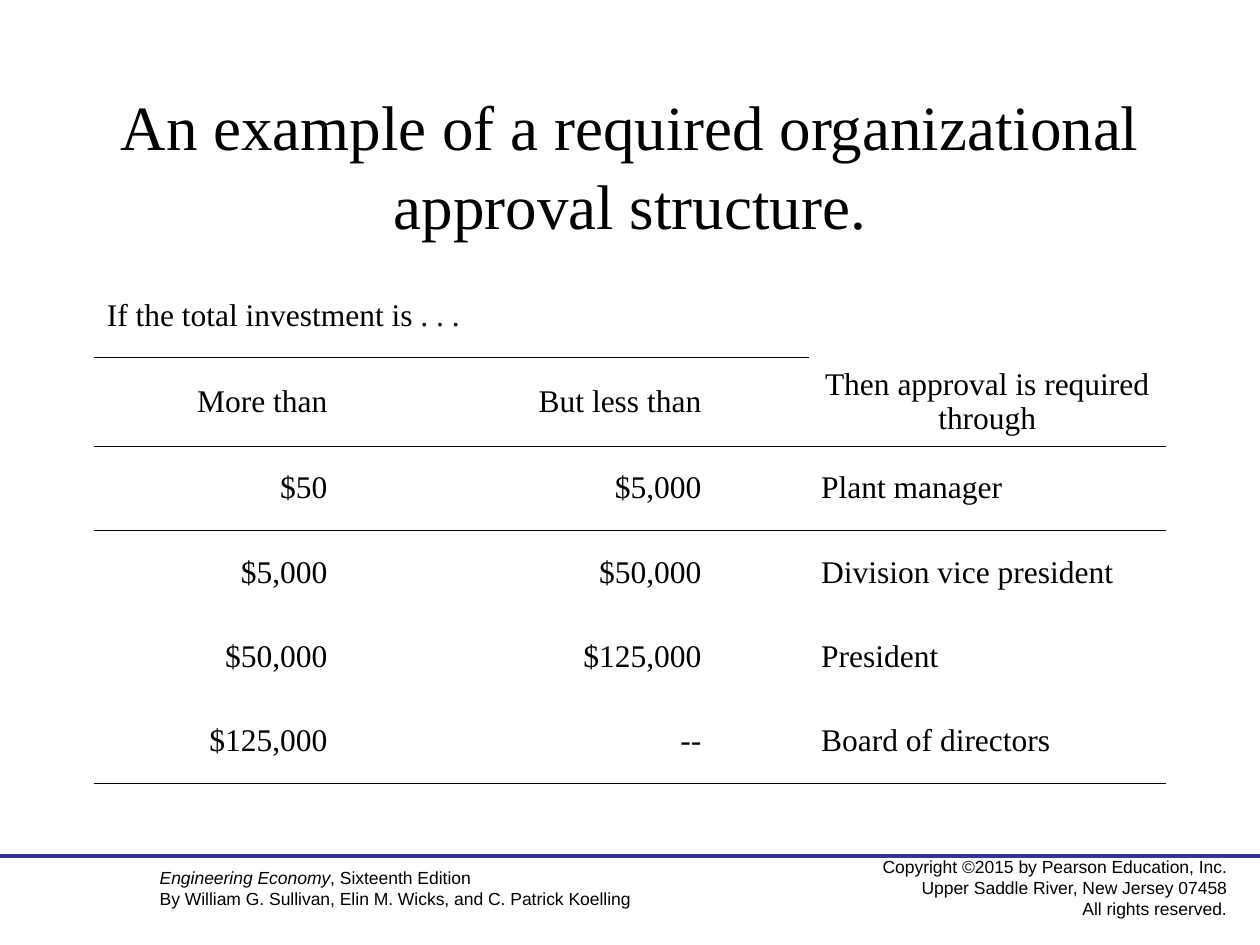
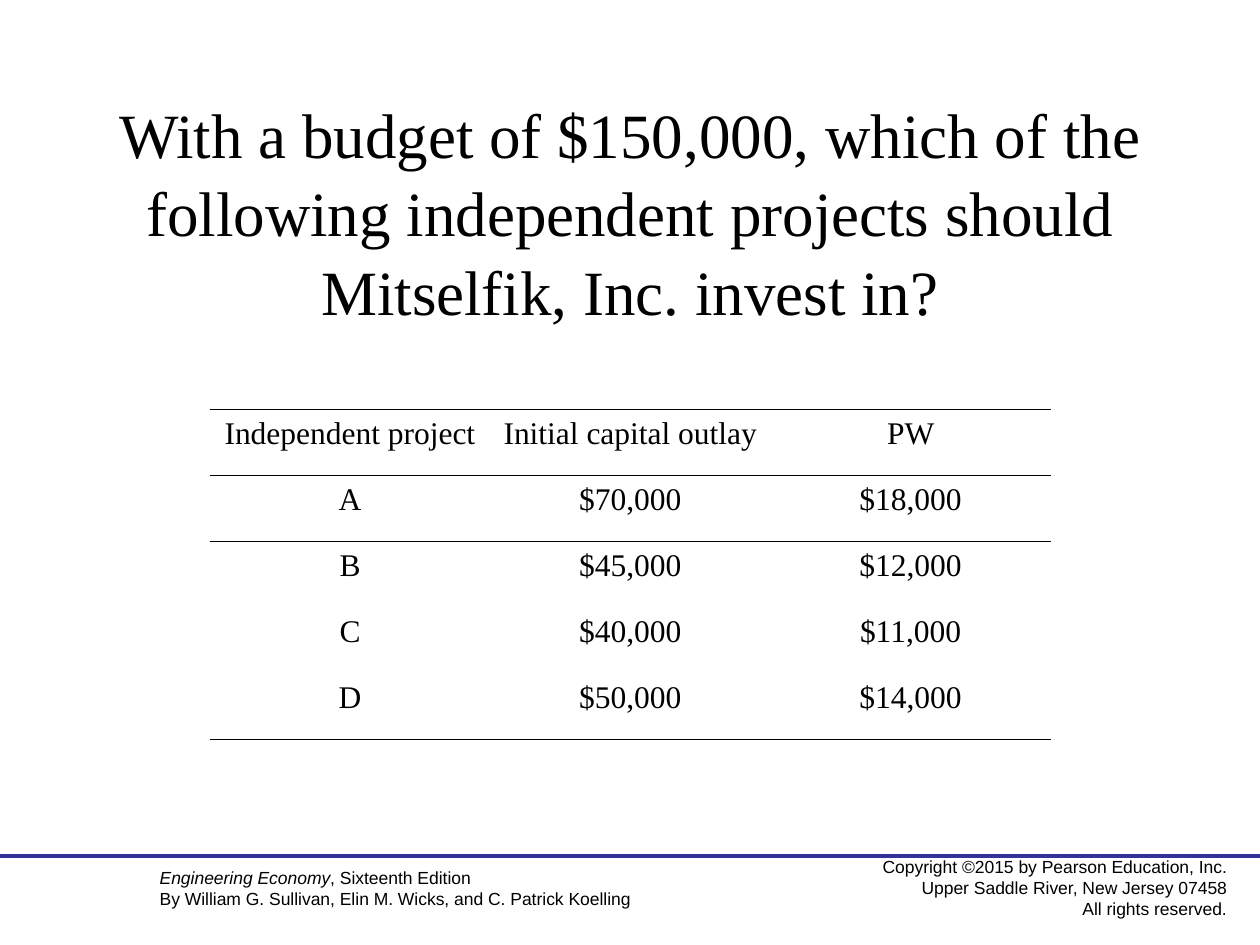
from lxml import etree
from pptx import Presentation
from pptx.dml.color import RGBColor
from pptx.enum.shapes import MSO_CONNECTOR
from pptx.enum.text import MSO_ANCHOR, PP_ALIGN
from pptx.oxml.ns import qn
from pptx.util import Cm, Pt

LEFT, MID, RIGHT = PP_ALIGN.LEFT, PP_ALIGN.CENTER, PP_ALIGN.RIGHT
TOP, CENTER = MSO_ANCHOR.TOP, MSO_ANCHOR.MIDDLE
STRAIGHT = MSO_CONNECTOR.STRAIGHT

COLORS = {"ink": "000000", "band": "333399"}
TITLE = {"name": "Times New Roman", "size": Pt(36)}
BODY = {"name": "Times New Roman", "size": Pt(18)}
FOOT = {"name": "Arial", "size": Pt(10)}
NO_STYLE = "{2D5ABB26-0587-4C30-8999-92F81FD0307C}"
RULE = Pt(0.45)

EDITION = [
    [("Engineering Economy", {"italic": True}), (", Sixteenth Edition", {})],
    [("By William G. Sullivan, Elin M. Wicks, and C. Patrick Koelling", {})],
]
RIGHTS = [
    [("Copyright ©2015 by Pearson Education, Inc.", {})],
    [("Upper Saddle River, New Jersey 07458", {})],
    [("All rights reserved.", {})],
]
APPROVAL = [
    ["If the total investment is . . .", "", ""],
    ["More than", "But less than", "Then approval is required through"],
    ["$50", "$5,000", "Plant manager"],
    ["$5,000", "$50,000", "Division vice president"],
    ["$50,000", "$125,000", "President"],
    ["$125,000", "--", "Board of directors"],
]
PROJECTS = [
    ["Independent project", "Initial capital outlay", "PW"],
    ["A", "$70,000", "$18,000"],
    ["B", "$45,000", "$12,000"],
    ["C", "$40,000", "$11,000"],
    ["D", "$50,000", "$14,000"],
]


def color(name):
    return RGBColor.from_string(COLORS[name])


class Deck:
    def __init__(self):
        self.show = Presentation()
        self.show.slide_width, self.show.slide_height = Cm(25.4), Cm(19.05)
        self.slide = None

    def fill(self, para, runs, style, align):
        """Fill a paragraph with (text, extra format) runs."""
        para.alignment = align
        for text, extra in runs:
            run = para.add_run()
            run.text = text
            for key, value in {**style, **extra}.items():
                setattr(run.font, key, value)
            run.font.color.rgb = color("ink")

    def text(self, box, lines, style, align=LEFT, anchor=TOP, pitch=None):
        frame = self.slide.shapes.add_textbox(*map(Cm, box)).text_frame
        frame.word_wrap = True
        frame.vertical_anchor = anchor
        for i, runs in enumerate(lines):
            para = frame.add_paragraph() if i else frame.paragraphs[0]
            para.line_spacing = pitch
            self.fill(para, runs, style, align)

    def band(self, y):
        line = self.slide.shapes.add_connector(STRAIGHT, 0, Cm(y), self.show.slide_width, Cm(y))
        line.line.color.rgb = color("band")
        line.line.width = Pt(2.25)
        etree.SubElement(line._element.spPr, qn("a:effectLst"))

    def page(self, title, height):
        """Start a slide with its footer, band and title."""
        self.slide = self.show.slides.add_slide(self.show.slide_layouts[6])
        self.text((16.93, 17.15, 8.05, 1.5), RIGHTS, FOOT, RIGHT, CENTER)
        self.text((2.97, 17.35, 12.7, 1.12), EDITION, FOOT)
        self.band(17.25)
        self.text((1.9, 1.7, 21.6, height), [[(title, {})]], TITLE, MID, CENTER, 1.04)

    def edges(self, cell, tags):
        props = cell._tc.get_or_add_tcPr()
        for i, tag in enumerate(tags):
            line = etree.Element(qn("a:" + tag), w=str(RULE))
            fill = etree.SubElement(line, qn("a:solidFill"))
            etree.SubElement(fill, qn("a:srgbClr"), val=COLORS["ink"])
            props.insert(i, line)

    def table(self, spot, wide, highs, rows, rules, form, anchor):
        """rules: columns ruled at each row edge; form: (row, col) to (align, right margin)."""
        cols = len(rows[0])
        frame = self.slide.shapes.add_table(
            len(rows), cols, *map(Cm, (*spot, wide * cols, sum(highs))))
        grid = frame.table
        grid.first_row = grid.horz_banding = False
        grid._tbl.tblPr.find(qn("a:tableStyleId")).text = NO_STYLE
        for col in grid.columns:
            col.width = Cm(wide)
        for r, row in enumerate(rows):
            grid.rows[r].height = Cm(highs[r])
            for c, word in enumerate(row):
                cell = grid.cell(r, c)
                align, margin = form(r, c)
                cell.fill.background()
                cell.vertical_anchor = anchor
                cell.margin_right = Cm(margin)
                if word:
                    self.fill(cell.text_frame.paragraphs[0], [(word, {})], BODY, align)
                sides = (("lnT", r), ("lnB", r + 1))
                self.edges(cell, [tag for tag, edge in sides if c < rules.get(edge, 0)])
        return grid


def ladder(r, c):
    """Amounts line up on the right, the approvers on the left."""
    if r and c < 2:
        return RIGHT, (2.5, 2.16)[c]
    return (MID if r == 1 else LEFT), 0.25


def main():
    deck = Deck()
    deck.page("An example of a required organizational approval structure.", 3.18)
    grid = deck.table((1.9, 5.51), 7.2, [1.7, 1.78] + [1.7] * 4, APPROVAL,
                      {1: 2, 2: 3, 6: 3}, ladder, CENTER)
    grid.cell(0, 0).merge(grid.cell(0, 1))

    deck.page("With a budget of $150,000, which of the following independent "
              "projects should Mitselfik, Inc. invest in?", 5.08)
    deck.table((4.23, 8.26), 5.65, [1.33] * 5, PROJECTS,
               {0: 3, 1: 3, 5: 3}, lambda r, c: (MID, 0.25), TOP)
    deck.show.save("out.pptx")


if __name__ == "__main__":
    main()
